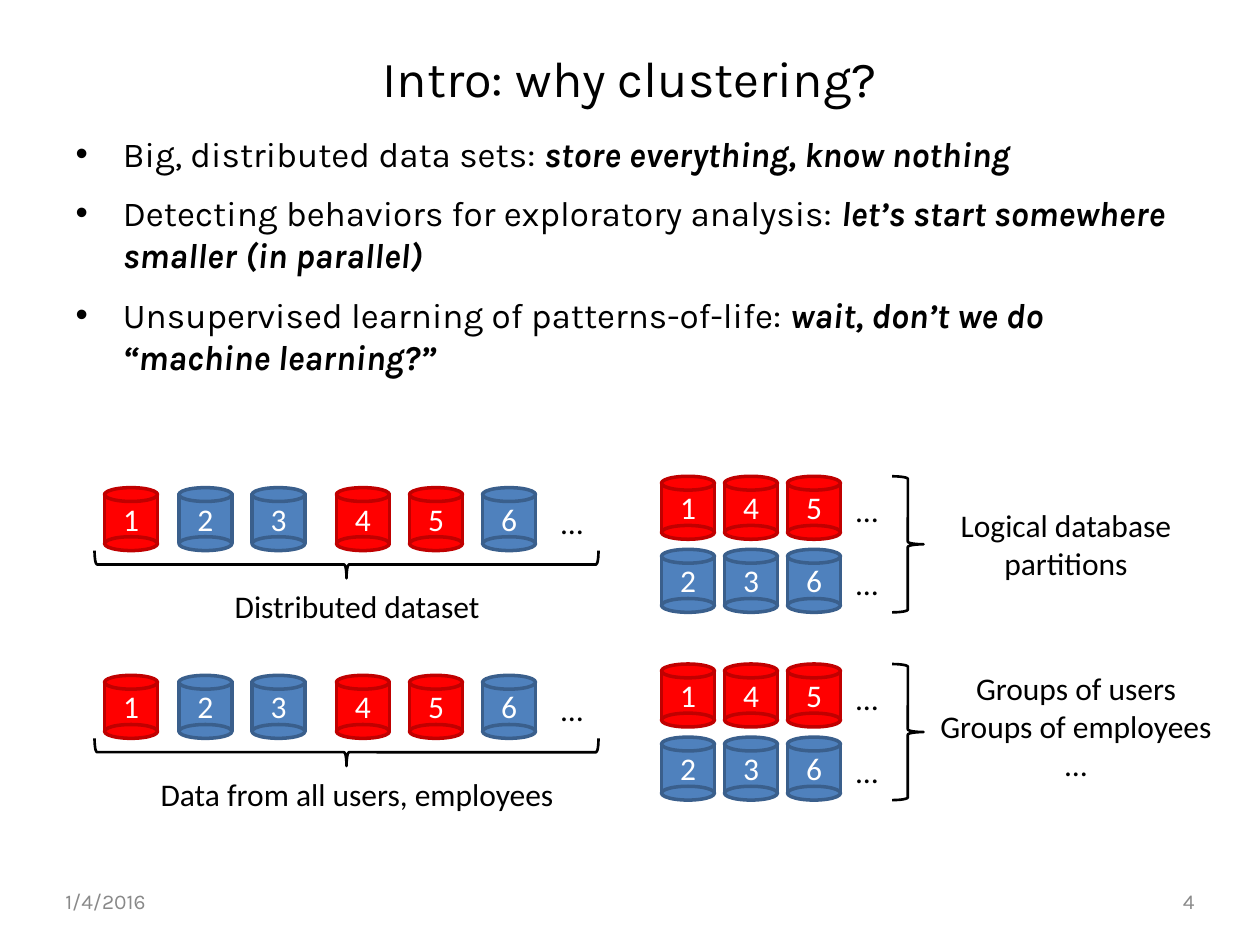
"""Build the slide on why clustering helps with distributed data."""
from pptx import Presentation
from pptx.dml.color import RGBColor
from pptx.enum.shapes import MSO_SHAPE
from pptx.enum.text import MSO_ANCHOR, MSO_AUTO_SIZE, PP_ALIGN
from pptx.util import Inches, Pt

HUES = {"black": "000000", "white": "FFFFFF", "gray": "898989",
        "red": "FF0000", "maroon": "C00000", "blue": "4F81BD", "navy": "3A5F8C"}
INK = {name: RGBColor.from_string(code) for name, code in HUES.items()}


def write(frame, lines, size=18, face="Calibri", hue="black",
          align=PP_ALIGN.CENTER, anchor=MSO_ANCHOR.TOP):
    frame.word_wrap = True
    frame.vertical_anchor = anchor
    frame.text = "\n".join(lines)
    for para in frame.paragraphs:
        para.alignment = align
        para.font.size = Pt(size)
        para.font.name = face
        para.font.color.rgb = INK[hue]


def drum(left, top, digit):
    fill, edge = ("red", "maroon") if digit in "145" else ("blue", "navy")
    group = slide.shapes.add_group_shape()
    for kind, drop, height in [(MSO_SHAPE.RECTANGLE, 0.05, 0.39),
                               (MSO_SHAPE.OVAL, 0, 0.11),
                               (MSO_SHAPE.OVAL, 0.39, 0.11)]:
        part = group.shapes.add_shape(kind, Inches(left), Inches(top + drop),
                                      Inches(0.42), Inches(height))
        part.shadow.inherit = False
        part.fill.solid()
        part.fill.fore_color.rgb = INK[fill]
        part.line.color.rgb = INK[edge]
        part.line.width = Pt(2)
        if kind == MSO_SHAPE.RECTANGLE:
            write(part.text_frame, [digit], hue="white", anchor=MSO_ANCHOR.MIDDLE)


deck = Presentation()
deck.slide_width, deck.slide_height = Inches(10), Inches(7.5)
slide = deck.slides.add_slide(deck.slide_layouts[1])

title, body = slide.placeholders
title.left, title.top, title.width, title.height = map(Inches, (0.5, 0.3, 9, 0.62))
write(title.text_frame, ["Intro: why clustering?"], 28.8, "Karla",
      anchor=MSO_ANCHOR.MIDDLE)

points = [
    ("Big, distributed data sets: ", "store everything, know nothing"),
    ("Detecting behaviors for exploratory analysis: ",
     "let’s start somewhere smaller (in parallel)"),
    ("Unsupervised learning of patterns-of-life: ",
     "wait, don’t we do “machine learning?”"),
]
body.left, body.top, body.width, body.height = map(Inches, (0.5, 1, 9, 5.7))
body.text_frame.auto_size = MSO_AUTO_SIZE.NONE
write(body.text_frame, [plain for plain, punch in points], 20, "Karla",
      align=PP_ALIGN.LEFT)
for para, (plain, punch) in zip(body.text_frame.paragraphs, points):
    para.space_after = Pt(6)
    run = para.add_run()
    run.text = punch
    run.font.bold = run.font.italic = True

for left, width, text, align in [(0.42, 1.08, "1/4/2016", PP_ALIGN.LEFT),
                                 (8.75, 0.83, "4", PP_ALIGN.RIGHT)]:
    box = slide.shapes.add_textbox(Inches(left), Inches(6.95),
                                   Inches(width), Inches(0.4))
    write(box.text_frame, [text], 12, "Karla", "gray", align, MSO_ANCHOR.MIDDLE)

bands = [
    (0, "Distributed dataset",
     (7.42, 3.97, 2.08, 0.71), ["Logical database partitions"]),
    (1.49, "Data from all users, employees",
     (7.33, 5.26, 2.42, 1.01), ["Groups of users", "Groups of employees", "…"]),
]
for shift, source, place, result in bands:
    for digit, left in zip("123456", (0.83, 1.42, 2, 2.67, 3.25, 3.83)):
        drum(left, 3.87 + shift, digit)
    for row, digits in enumerate(("145", "236")):
        for col, digit in enumerate(digits):
            drum(5.25 + col * 0.5, 3.78 + row * 0.58 + shift, digit)

    for left, top, width, height, angle in [(2.64, 2.48, 0.22, 4, 90),
                                            (7.08, 3.78, 0.25, 1.08, 0)]:
        brace = slide.shapes.add_shape(MSO_SHAPE.RIGHT_BRACE, Inches(left),
                                       Inches(top + shift), Inches(width),
                                       Inches(height))
        brace.rotation = angle
        brace.shadow.inherit = False
        brace.fill.background()
        brace.line.color.rgb = INK["black"]
        brace.line.width = Pt(1.5)

    labels = [((1, 4.61 + shift, 3.67, 0.4), [source]), (place, result)]
    for left, top in [(4.33, 3.94), (6.67, 3.85), (6.67, 4.43)]:
        labels.append(((left, top + shift, 0.42, 0.4), ["…"]))
    for spot, lines in labels:
        box = slide.shapes.add_textbox(*map(Inches, spot))
        write(box.text_frame, lines)

deck.save("out.pptx")
